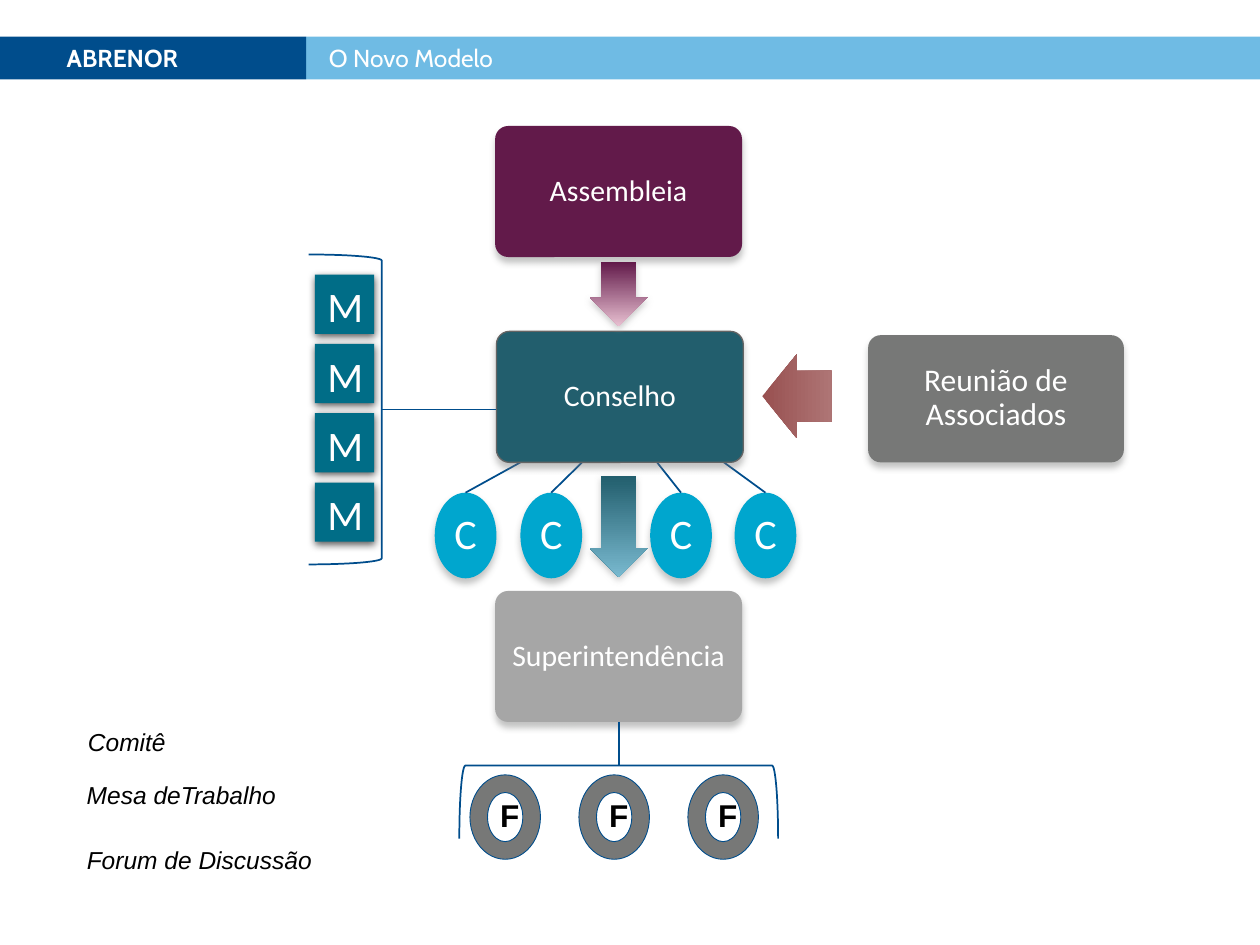
from lxml.etree import SubElement
from pptx import Presentation
from pptx.dml.color import RGBColor
from pptx.enum.shapes import MSO_CONNECTOR, MSO_SHAPE
from pptx.enum.text import MSO_ANCHOR, PP_ALIGN
from pptx.oxml.ns import qn
from pptx.util import Inches, Pt

COLORS = {
    "navy": "004D8C", "sky": "6FBBE4", "plum": "621A4A", "pink": "E8C0D1",
    "petrol": "225E6D", "ice": "79B9CF", "silver": "A6A6A6", "gray": "777877",
    "cyan": "00A6CE", "teal": "006D87", "brick": "985050", "rose": "AE7575",
    "edge": "646464", "white": "FFFFFF", "black": "000000",
}
RGB = {name: RGBColor.from_string(value) for name, value in COLORS.items()}
CARD_SHADOW = ("gray", 43, 4, 3)
ARROW_SHADOW = ("silver", 60, 4, 2)
DESK_SHADOW = ("black", 63, 4.5, 1.5)

prs = Presentation()
prs.slide_width, prs.slide_height = Inches(10), Inches(7.5)
s = prs.slides.add_slide(prs.slide_layouts[5])


def add_figure(kind, x, y, w, h, fill=None, line=None, line_width=1, shadow=None):
    """Add a preset shape; shadow is (colour, opacity %, blur pt, distance pt)."""
    sp = s.shapes.add_shape(kind, Inches(x), Inches(y), Inches(w), Inches(h))
    sp.shadow.inherit = False
    if fill:
        sp.fill.solid()
        sp.fill.fore_color.rgb = RGB[fill]
    else:
        sp.fill.background()
    if line:
        sp.line.color.rgb = RGB[line]
        sp.line.width = Pt(line_width)
    else:
        sp.line.fill.background()
    if shadow:
        color, opacity, blur, dist = shadow
        effects = sp._element.spPr.find(qn("a:effectLst"))
        outer = SubElement(effects, qn("a:outerShdw"), blurRad=str(Pt(blur)),
                           dist=str(Pt(dist)), dir="5400000", rotWithShape="0")
        clr = SubElement(outer, qn("a:srgbClr"), val=COLORS[color])
        SubElement(clr, qn("a:alpha"), val=str(opacity * 1000))
    return sp


def write(sp, text, size, font="Calibri", color="white", align=PP_ALIGN.CENTER,
          anchor=MSO_ANCHOR.MIDDLE, inset=0.1, wrap=True, bold=False, italic=False):
    tf = sp.text_frame
    tf.word_wrap = wrap
    tf.vertical_anchor = anchor
    tf.margin_left = tf.margin_right = Inches(inset)
    tf.margin_top = tf.margin_bottom = Inches(min(inset, 0.05))
    p = tf.paragraphs[0]
    p.text = text
    p.alignment = align
    p.font.size, p.font.name = Pt(size), font
    p.font.bold, p.font.italic = bold, italic
    p.font.color.rgb = RGB[color]
    return p


# Header
title = s.shapes.title
title.left, title.top = Inches(2.43), Inches(0.29)
title.width, title.height = Inches(7.57), Inches(0.34)
title.fill.solid()
title.fill.fore_color.rgb = RGB["sky"]
write(title, "O Novo Modelo", 14, "Cabin", align=PP_ALIGN.LEFT)
title.text_frame.margin_left = Inches(0.18)
tag = add_figure(MSO_SHAPE.RECTANGLE, 0, 0.29, 2.43, 0.34, "navy")
write(tag, "ABRENOR", 14, "Cabin", align=PP_ALIGN.LEFT, bold=True)
tag.text_frame.margin_left = Inches(0.53)

# Committees, with the start of the line from the council
connectors = []
for x, start_x, start_y in [(3.45, 4.13, 3.67), (4.13, 4.62, 3.67),
                            (5.16, 5.16, 3.6), (5.83, 5.65, 3.6)]:
    committee = add_figure(MSO_SHAPE.OVAL, x, 3.91, 0.49, 0.68, "cyan", shadow=CARD_SHADOW)
    write(committee, "C", 24, inset=0.02).line_spacing = 0.9
    link = s.shapes.add_connector(MSO_CONNECTOR.STRAIGHT, Inches(start_x), Inches(start_y),
                                  Inches(x + 0.245), Inches(3.91))
    link.end_connect(committee, 0)
    connectors.append(link)

# Governing bodies
for name, x, y, w, h, fill, line, size in [
    ("Assembleia", 3.93, 1, 1.96, 1.04, "plum", None, 17),
    ("Conselho", 3.94, 2.63, 1.96, 1.04, "petrol", "edge", 17),
    ("Reunião de Associados", 6.89, 2.66, 2.03, 1.01, "gray", None, 18),
    ("Superintendência", 3.93, 4.69, 1.96, 1.04, "silver", None, 17),
]:
    body = add_figure(MSO_SHAPE.ROUNDED_RECTANGLE, x, y, w, h, fill, line, 0.75, CARD_SHADOW)
    body.adjustments[0] = 0.1
    write(body, name, size).line_spacing = 0.9
superintendency = body

# Arrows between bodies
for kind, x, y, w, h, start, end, angle, shadow in [
    (MSO_SHAPE.DOWN_ARROW, 4.68, 2.08, 0.46, 0.51, "plum", "pink", 270, ARROW_SHADOW),
    (MSO_SHAPE.DOWN_ARROW, 4.68, 3.78, 0.46, 0.8, "petrol", "ice", 270, ARROW_SHADOW),
    (MSO_SHAPE.LEFT_ARROW, 6.05, 2.81, 0.55, 0.67, "brick", "rose", 0, None),
]:
    arrow = add_figure(kind, x, y, w, h, shadow=shadow)
    arrow.adjustments[0], arrow.adjustments[1] = 0.6, 0.5
    arrow.fill.gradient()
    arrow.fill.gradient_angle = angle
    for stop, color in zip(arrow.fill.gradient_stops, (start, end)):
        stop.color.rgb = RGB[color]

# Working tables
add_figure(MSO_SHAPE.RIGHT_BRACKET, 2.45, 2.02, 0.58, 2.46, line="navy")
for i in range(4):
    desk = add_figure(MSO_SHAPE.RECTANGLE, 2.5, 2.18 + 0.55 * i, 0.47, 0.47, "teal",
                      shadow=DESK_SHADOW)
    write(desk, "M", 24, align=PP_ALIGN.LEFT, anchor=MSO_ANCHOR.TOP)
connectors.append(s.shapes.add_connector(
    MSO_CONNECTOR.STRAIGHT, Inches(3.03), Inches(3.25), Inches(3.94), Inches(3.25)))

# Discussion forums
bracket = add_figure(MSO_SHAPE.LEFT_BRACKET, 4.62, 5.1, 0.58, 2.53, line="navy")
bracket.rotation = 90
for i in range(3):
    x = 3.73 + 0.865 * i
    add_figure(MSO_SHAPE.DONUT, x, 6.15, 0.56, 0.67, "gray", "navy", 0.5)
    letter = s.shapes.add_textbox(Inches(x + 0.14), Inches(6.29), Inches(0.32), Inches(0.36))
    write(letter, "F", 18, "Arial", "black", wrap=False, bold=True)
stem = s.shapes.add_connector(
    MSO_CONNECTOR.STRAIGHT, Inches(4.91), Inches(5.73), Inches(4.91), Inches(6.07))
stem.begin_connect(superintendency, 2)
connectors.append(stem)

for link in connectors:
    link.line.color.rgb = RGB["navy"]
    link.line.width = Pt(1)
    SubElement(link._element.spPr, qn("a:effectLst"))

# Legend
for text, x, y, w in [("Comitê", 0.6, 5.72, 0.87), ("Mesa deTrabalho", 0.59, 6.14, 1.76),
                      ("Forum de Discussão", 0.59, 6.66, 2.05)]:
    label = s.shapes.add_textbox(Inches(x), Inches(y), Inches(w), Inches(0.34))
    write(label, text, 14, "Arial", "black", PP_ALIGN.LEFT, MSO_ANCHOR.TOP,
          wrap=False, italic=True)

prs.save("out.pptx")
